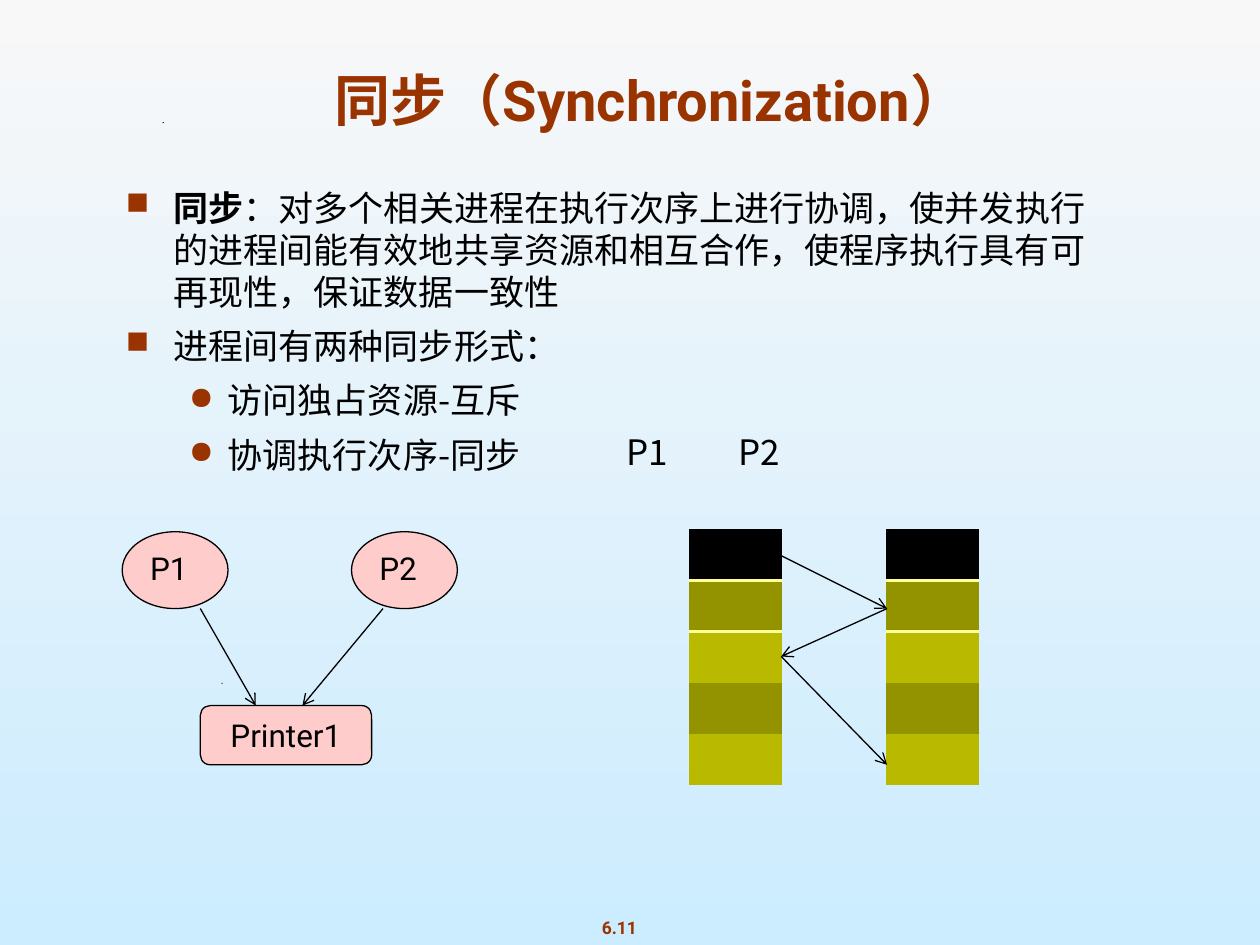
from lxml import etree
from pptx import Presentation
from pptx.dml.color import RGBColor
from pptx.enum.shapes import MSO_CONNECTOR, MSO_SHAPE
from pptx.enum.text import MSO_ANCHOR, PP_ALIGN
from pptx.oxml.ns import qn
from pptx.util import Inches, Pt

LEFT, MID = PP_ALIGN.LEFT, PP_ALIGN.CENTER
TOP, CENTER, BASE = MSO_ANCHOR.TOP, MSO_ANCHOR.MIDDLE, MSO_ANCHOR.BOTTOM
OVAL, ROUND = MSO_SHAPE.OVAL, MSO_SHAPE.ROUNDED_RECTANGLE
STRAIGHT = MSO_CONNECTOR.STRAIGHT

RUST = RGBColor(0x99, 0x33, 0x00)
BLACK = RGBColor(0x00, 0x00, 0x00)
PINK = RGBColor(0xFF, 0xCC, 0xCC)
DARK = RGBColor(0x93, 0x93, 0x00)
LIGHT = RGBColor(0xB9, 0xB9, 0x00)
CREAM = RGBColor(0xFF, 0xFF, 0x99)
PALE = RGBColor(0xF8, 0xF8, 0xF8)
SKY = RGBColor(0xCC, 0xEC, 0xFF)
HEAD, BODY = "Roboto", "Noto Sans CJK SC"

deck = Presentation()
deck.slide_width, deck.slide_height = Inches(10), Inches(7.5)
COL, ROW = deck.slide_width / 100, deck.slide_height / 75
slide = deck.slides.add_slide(deck.slide_layouts[6])
shapes = slide.shapes


def grid(*spots):
    return [round(v * (ROW if i % 2 else COL)) for i, v in enumerate(spots)]


def write(para, text, size=18, font=HEAD, color=BLACK, bold=False, align=LEFT):
    para.alignment = align
    run = para.add_run()
    run.text = text
    run.font.size, run.font.name, run.font.bold = Pt(size), font, bold
    run.font.color.rgb = color
    etree.SubElement(run.font._element, qn("a:ea"), typeface=font)


back = slide.background.fill
back.gradient()
back.gradient_angle = 270
for stop, color, spot in zip(back.gradient_stops, (PALE, SKY), (0, 1)):
    stop.color.rgb, stop.position = color, spot

for x, y in ((17.6, 54.2), (13, 46), (56.5, 46), (12.9, 9.7)):
    pen = shapes.build_freeform(*grid(x, y + 0.1))
    pen.add_line_segments([grid(x + 0.1, y), grid(x, y)])
    speck = pen.convert_to_shape()
    speck.shadow.inherit = False
    speck.fill.solid()
    speck.fill.fore_color.rgb = BLACK
    speck.line.fill.background()

page = shapes.add_textbox(*grid(46.7, 72.3, 4.9, 2.7)).text_frame
page.word_wrap = False
write(page.paragraphs[0], "6.11", size=10, color=RUST, bold=True, align=MID)

title = shapes.add_textbox(*grid(7.5, 4.3, 88.3, 6.7)).text_frame
title.word_wrap, title.vertical_anchor = True, BASE
write(title.paragraphs[0], "同步（Synchronization）", size=32, color=RUST, bold=True, align=MID)

body = shapes.add_textbox(*grid(9, 14.3, 80.4, 53.4)).text_frame
body.word_wrap = True
points = [
    (0, "同步", "：对多个相关进程在执行次序上进行协调，使并发执行的进程间能有效地共享资源和相互合作，使程序执行具有可再现性，保证数据一致性"),
    (0, "", "进程间有两种同步形式："),
    (1, "", "访问独占资源-互斥"),
    (1, "", "协调执行次序-同步"),
]
for i, (level, lead, text) in enumerate(points):
    para = body.add_paragraph() if i else body.paragraphs[0]
    para.level = level
    props = para._p.get_or_add_pPr()
    props.set("marL", str(Inches((0.38, 0.81)[level])))
    props.set("indent", str(-Inches((0.38, 0.31)[level])))
    tint = etree.SubElement(props, qn("a:buClr"))
    etree.SubElement(tint, qn("a:srgbClr"), val=str(RUST))
    etree.SubElement(props, qn("a:buSzPct"), val="90000")
    etree.SubElement(props, qn("a:buFont"), typeface="OpenSymbol")
    etree.SubElement(props, qn("a:buChar"), char="■●"[level])
    para.line_spacing = Pt(24)
    if i:
        para.space_before = Pt(7)
    if lead:
        write(para, lead, size=20, font=BODY, bold=True)
    write(para, text, size=20, font=BODY)

for name, x in (("P1", 49.7), ("P2", 58.6)):
    label = shapes.add_textbox(*grid(x, 33.8, 4, 4)).text_frame
    label.margin_left = label.margin_right = 0
    label.margin_top = label.margin_bottom = 0
    label.word_wrap, label.vertical_anchor = False, CENTER
    write(label.paragraphs[0], name, size=20, font=BODY)

nodes = [
    ("P1", OVAL, (9.7, 42.2, 8.4, 6.1), LEFT, TOP),
    ("P2", OVAL, (27.9, 42.2, 8.4, 6.1), LEFT, TOP),
    ("Printer1", ROUND, (15.9, 56, 13.6, 4.7), MID, CENTER),
]
for name, kind, spot, align, anchor in nodes:
    node = shapes.add_shape(kind, *grid(*spot))
    node.shadow.inherit = False
    node.fill.solid()
    node.fill.fore_color.rgb = PINK
    node.line.color.rgb, node.line.width = BLACK, Pt(0.75)
    frame = node.text_frame
    frame.word_wrap, frame.vertical_anchor = False, anchor
    write(frame.paragraphs[0], name, align=align)

bands = (BLACK, DARK, LIGHT, DARK, LIGHT)
for x in (54.7, 70.3):
    frame = shapes.add_table(len(bands), 1, *grid(x, 42, 7.4, 20.3))
    table = frame.table
    table.first_row = table.horz_banding = False
    style = table._tbl.tblPr.find(qn("a:tableStyleId"))
    style.text = "{2D5ABB26-0587-4C30-8999-92F81FD0307C}"
    for i, color in enumerate(bands):
        cell = table.cell(i, 0)
        cell.margin_top = cell.margin_bottom = 0
        cell.fill.solid()
        cell.fill.fore_color.rgb = color
        if i < 2:
            edge = etree.Element(qn(("a:lnB", "a:lnT")[i]), w=str(Pt(2)))
            paint = etree.SubElement(edge, qn("a:solidFill"))
            etree.SubElement(paint, qn("a:srgbClr"), val=str(CREAM))
            cell._tc.get_or_add_tcPr().insert(0, edge)

arrows = [
    (15.9, 48.3, 20.3, 56),
    (30.4, 48.3, 24, 56),
    (61.4, 43.8, 70.4, 48.3),
    (70.4, 48.3, 62, 52.1),
    (62, 52.1, 70.4, 60.7),
]
for spot in arrows:
    arrow = shapes.add_connector(STRAIGHT, *grid(*spot))
    arrow.line.color.rgb, arrow.line.width = BLACK, Pt(0.75)
    etree.SubElement(arrow.line._get_or_add_ln(), qn("a:tailEnd"), type="arrow")
    etree.SubElement(arrow._element.spPr, qn("a:effectLst"))

deck.save("out.pptx")
